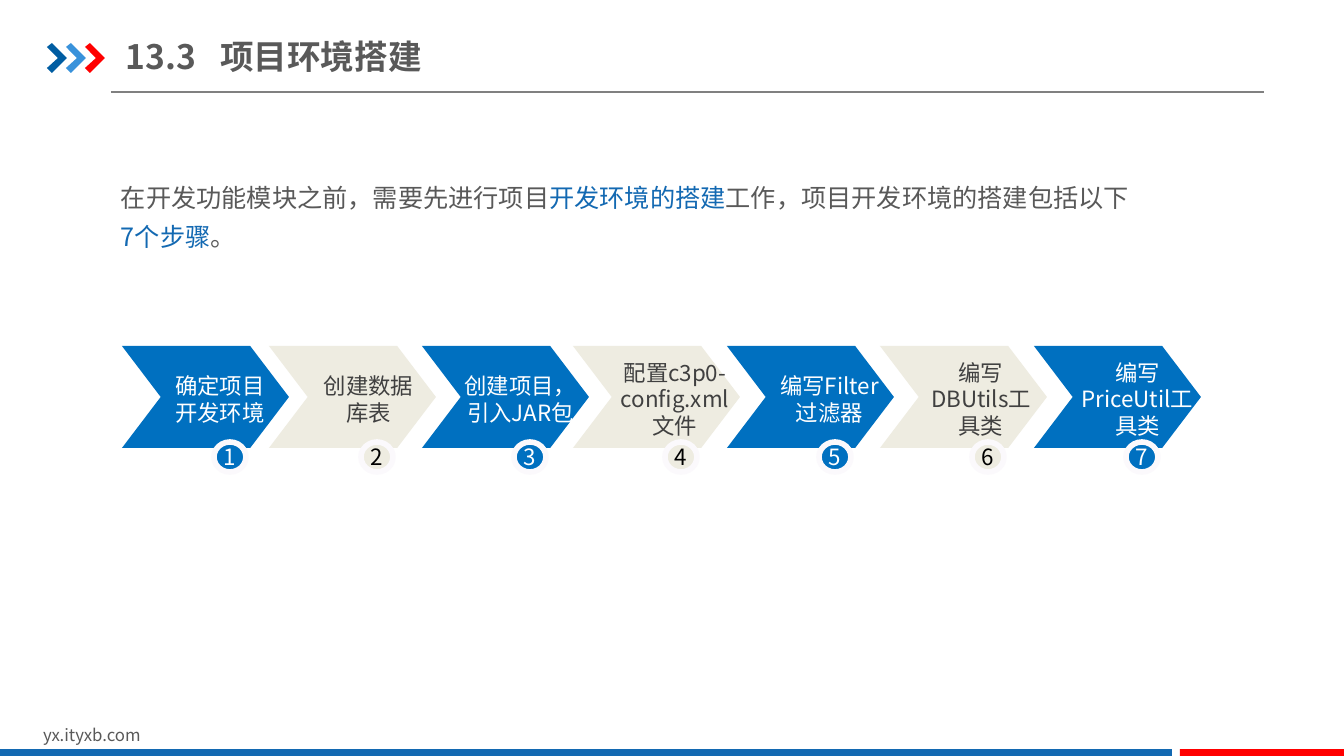
from lxml.etree import SubElement
from pptx import Presentation
from pptx.dml.color import RGBColor
from pptx.enum.shapes import MSO_CONNECTOR as Link, MSO_SHAPE as Shape
from pptx.enum.text import MSO_ANCHOR as Anchor, MSO_AUTO_SIZE as Fit, PP_ALIGN as Align
from pptx.oxml.ns import qn
from pptx.util import Pt

PX = 914400 / 100.8
FONT = "Noto Sans CJK SC"
GREY = RGBColor(0x59, 0x59, 0x59)
DARK = RGBColor(0x40, 0x40, 0x40)
RULE = RGBColor(0x80, 0x80, 0x80)
BLACK = RGBColor(0, 0, 0)
WHITE = RGBColor(0xFF, 0xFF, 0xFF)
BLUE = RGBColor(0x00, 0x70, 0xC0)
BEIGE = RGBColor(0xEE, 0xEC, 0xE1)
RIM = RGBColor(0xFB, 0xF9, 0xFC)
NAVY = RGBColor(0x00, 0x5D, 0xA2)
SKY = RGBColor(0x39, 0x92, 0xDB)
ACCENT = RGBColor(0x13, 0x69, 0xB2)
RED = RGBColor(0xFF, 0, 0)

TITLE = "13.3\t项目环境搭建"
SITE = "yx.ityxb.com"
INTRO = [
    ("在开发功能模块之前，需要先进行项目", GREY),
    ("开发环境的搭建", ACCENT),
    ("工作，项目开发环境的搭建包括以下", GREY),
    ("7个步骤", ACCENT),
    ("。", GREY),
]
# arrow left, label left, label width, label lines
STEPS = [
    (122, 165, 110, ["确定项目", "开发环境"]),
    (269, 314, 109, ["创建数据库表"]),
    (422, 464, 113, ["创建项目，", "引入JAR包"]),
    (573, 619, 112, ["配置c3p0-config.xml文件"]),
    (727, 772, 115, ["编写Filter过滤器"]),
    (880, 925, 112, ["编写DBUtils工具类"]),
    (1034, 1080, 115, ["编写PriceUtil工具类"]),
]
MARKS = [(47, NAVY), (66, SKY), (85, RED)]
MARK = [(0, 4), (5, 0), (20, 15), (5, 30), (0, 25), (11, 15)]
BARS = [(0, 1172, ACCENT), (1180, 164, RED)]


def px(*sizes):
    return [round(size * PX) for size in sizes]


def paint(shape, fill, rim=None):
    shape.shadow.inherit = False
    shape.fill.solid()
    shape.fill.fore_color.rgb = fill
    if rim:
        shape.line.color.rgb = rim
        shape.line.width = Pt(4)
    else:
        shape.line.fill.background()
    return shape


def write(shape, *paras, size=16, color=GREY, bold=False, align=Align.LEFT,
          anchor=Anchor.MIDDLE, inset=(0, 0), wrap=True, lead=None, tab=None):
    """Fill a shape; each paragraph is a string or a list of (text, colour) runs."""
    frame = shape.text_frame
    frame.auto_size = Fit.NONE
    frame.word_wrap = wrap
    frame.vertical_anchor = anchor
    frame.margin_left = frame.margin_right = px(inset[0])[0]
    frame.margin_top = frame.margin_bottom = px(inset[1])[0]
    for i, runs in enumerate(paras):
        para = frame.add_paragraph() if i else frame.paragraphs[0]
        para.alignment = align
        if lead:
            para.line_spacing = lead
        if tab:
            stops = SubElement(para._p.get_or_add_pPr(), qn("a:tabLst"))
            SubElement(stops, qn("a:tab"), pos=str(px(tab)[0]), algn="l")
        for text, tint in [(runs, color)] if isinstance(runs, str) else runs:
            run = para.add_run()
            run.text = text
            font = run.font
            font.size, font.bold, font.name = Pt(size), bold, FONT
            font.color.rgb = tint
            SubElement(run._r.get_or_add_rPr(), qn("a:ea"), typeface=FONT)


deck = Presentation()
deck.slide_width, deck.slide_height = px(1344, 756)
slide = deck.slides.add_slide(deck.slide_layouts[5])
shapes = slide.shapes

# Header and footer
rule = shapes.add_connector(Link.STRAIGHT, *px(111, 92, 1264, 92))
rule.line.color.rgb = RULE
rule.line.width = Pt(0.75)
SubElement(rule._element.spPr, qn("a:effectLst"))
for left, color in MARKS:
    dots = [(left + x, 43 + y) for x, y in MARK]
    pen = shapes.build_freeform(*dots[0], scale=PX)
    pen.add_line_segments(dots[1:], close=True)
    paint(pen.convert_to_shape(), color)
write(shapes.add_textbox(*px(33, 720, 321, 30)), SITE, size=12, inset=(10, 5))
for left, width, color in BARS:
    paint(shapes.add_shape(Shape.RECTANGLE, *px(left, 749, width, 9)), color)

# Title and introduction
title = shapes.title
title.left, title.top, title.width, title.height = px(126, 29, 429, 55)
write(title, TITLE, size=24, bold=True, inset=(0, 7), tab=94)
write(shapes.add_textbox(*px(111, 168, 1033, 88)), INTRO, size=18,
      anchor=Anchor.TOP, inset=(10, 5), lead=1.3)

# Steps
for number, (left, start, width, lines) in enumerate(STEPS, 1):
    odd = number % 2
    fill = BLUE if odd else BEIGE
    arrow = paint(shapes.add_shape(Shape.CHEVRON, *px(left, 346, 167, 102)), fill)
    arrow.adjustments[0] = 0.38
    label = shapes.add_textbox(*px(start, 357, width, 84))
    write(label, *lines, color=WHITE if odd else DARK, align=Align.CENTER)
    badge = paint(shapes.add_shape(Shape.OVAL, *px(left + 92, 442, 32, 30)), fill, RIM)
    write(badge, str(number), color=WHITE if odd else BLACK,
          align=Align.CENTER, wrap=False)

deck.save("out.pptx")
